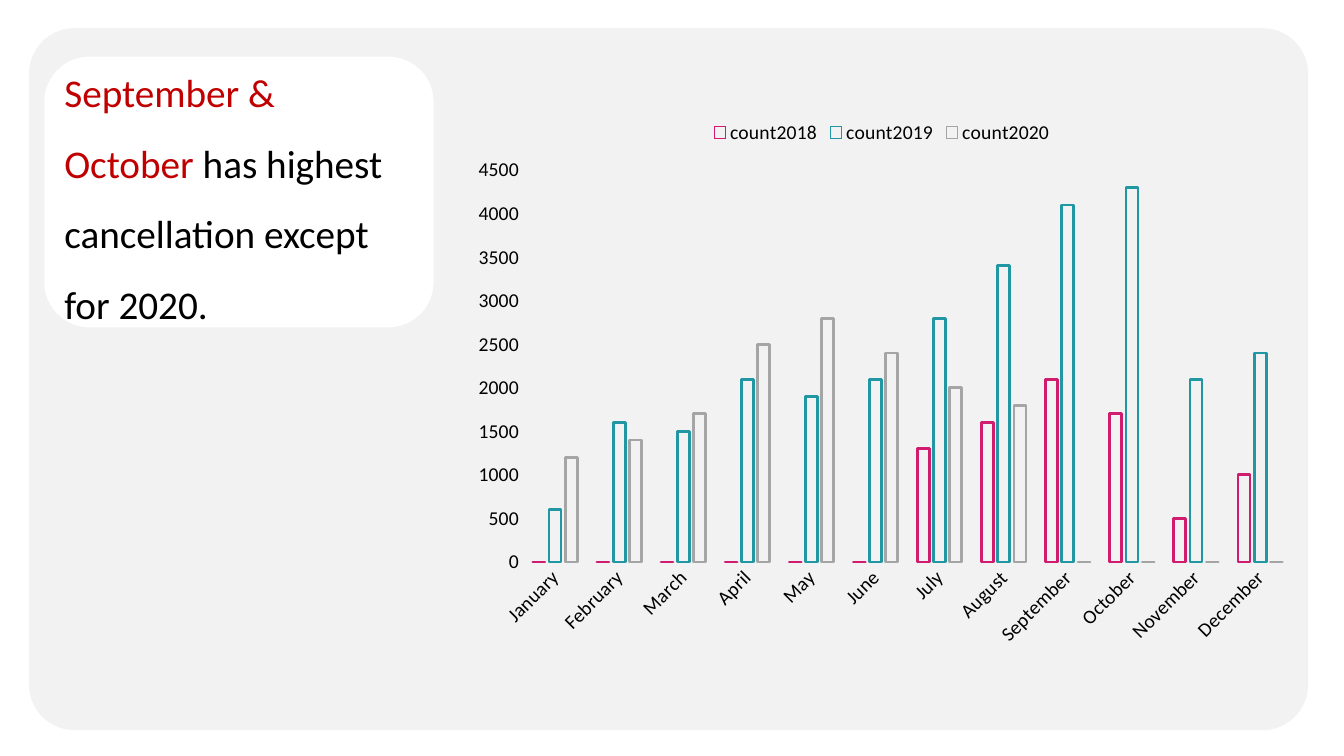
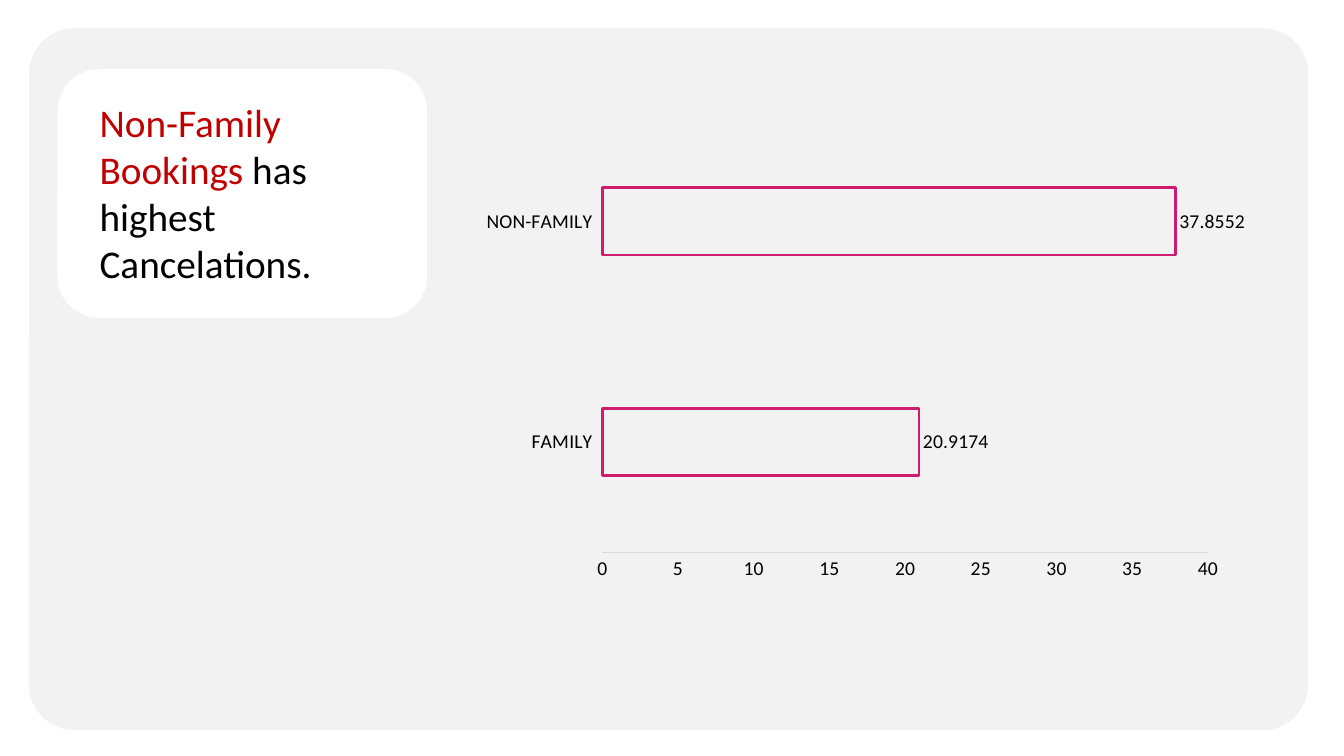
from lxml.etree import SubElement
from pptx import Presentation
from pptx.chart.data import CategoryChartData
from pptx.dml.color import RGBColor
from pptx.enum.chart import XL_CHART_TYPE, XL_LABEL_POSITION, XL_LEGEND_POSITION, XL_TICK_MARK
from pptx.enum.shapes import MSO_SHAPE
from pptx.enum.text import MSO_AUTO_SIZE
from pptx.oxml.ns import qn
from pptx.util import Inches, Pt

COLORS = {
    "panel": "F2F2F2",
    "card": "FFFFFF",
    "text": "000000",
    "accent": "C00000",
    "axis": "D9D9D9",
    "pink": "CF1C6E",
    "teal": "2197A3",
    "gray": "A5A5A5",
}
FONT = "Calibri"
WIDTH, HEIGHT = Inches(13.33), Inches(7.5)
MONTHS = ["January", "February", "March", "April", "May", "June", "July",
          "August", "September", "October", "November", "December"]
CANCELLATIONS = {
    "count2018": [0, 0, 0, 0, 0, 0, 1300, 1600, 2100, 1700, 500, 1000],
    "count2019": [600, 1600, 1500, 2100, 1900, 2100, 2800, 3400, 4100, 4300, 2100, 2400],
    "count2020": [1200, 1400, 1700, 2500, 2800, 2400, 2000, 1800, 0, 0, 0, 0],
}


def color(name):
    return RGBColor.from_string(COLORS[name])


def percent(left, top, width, height):
    return (int(WIDTH * left / 100), int(HEIGHT * top / 100),
            int(WIDTH * width / 100), int(HEIGHT * height / 100))


def style_font(font, size=14, name="text"):
    font.name = FONT
    font.size = Pt(size)
    font.color.rgb = color(name)


def add_rounded(s, area, fill, radius=16.67):
    sp = s.shapes.add_shape(MSO_SHAPE.ROUNDED_RECTANGLE, *percent(*area))
    sp.shadow.inherit = False
    sp.fill.solid()
    sp.fill.fore_color.rgb = color(fill)
    sp.line.fill.background()
    sp.adjustments[0] = radius / 100


def add_panel_slide(prs):
    s = prs.slides.add_slide(prs.slide_layouts[6])
    add_rounded(s, (2.16, 3.73, 95.17, 92.85), "panel", 6.5)
    return s


def add_message(s, area, paragraphs, spacing=None):
    tf = s.shapes.add_textbox(*percent(*area)).text_frame
    tf.word_wrap = True
    tf.auto_size = MSO_AUTO_SIZE.SHAPE_TO_FIT_TEXT
    for i, runs in enumerate(paragraphs):
        p = tf.add_paragraph() if i else tf.paragraphs[0]
        p.line_spacing = spacing
        p.font.name = FONT
        p.font.size = Pt(28)
        for text, name in runs:
            for j, line in enumerate(text.split("\n")):
                if j:
                    p.add_line_break()
                r = p.add_run()
                r.text = line
                style_font(r.font, 28, name)


def place_plot(chart, *shares):
    plot_area = chart._chartSpace.chart.plotArea
    for old in plot_area.findall(qn("c:layout")):
        plot_area.remove(old)
    layout = SubElement(plot_area, qn("c:layout"))
    plot_area.insert(0, layout)
    manual = SubElement(layout, qn("c:manualLayout"))
    settings = [("layoutTarget", "inner"), ("xMode", "edge"), ("yMode", "edge")]
    settings += [(tag, share / 100) for tag, share in zip("xywh", shares)]
    for tag, value in settings:
        SubElement(manual, qn(f"c:{tag}")).set("val", str(value))


def style_axis(axis, tick=XL_TICK_MARK.NONE, line=None):
    axis.has_major_gridlines = False
    axis.major_tick_mark = tick
    axis.minor_tick_mark = XL_TICK_MARK.NONE
    style_font(axis.tick_labels.font)
    if line:
        axis.format.line.color.rgb = color(line)
        axis.format.line.width = Pt(0.75)
    else:
        axis.format.line.fill.background()


def add_bars(s, area, kind, categories, series, outlines, gap, overlap, top, step):
    data = CategoryChartData()
    data.categories = categories
    for name, values in series.items():
        data.add_series(name, values)
    chart = s.shapes.add_chart(kind, *percent(*area), data).chart
    chart.has_title = False
    chart.has_legend = False
    style_font(chart.font, 10)
    plot = chart.plots[0]
    plot.vary_by_categories = False
    plot.gap_width, plot.overlap = gap, overlap
    axis = chart.value_axis
    axis.minimum_scale, axis.maximum_scale, axis.major_unit = 0, top, step
    for bars, outline in zip(plot.series, outlines):
        bars.format.fill.background()
        bars.format.line.color.rgb = color(outline)
        bars.format.line.width = Pt(2)
    return chart


def build_months(prs):
    s = add_panel_slide(prs)
    chart = add_bars(s, (33.91, 14.45, 63.39, 72.6), XL_CHART_TYPE.COLUMN_CLUSTERED,
                     MONTHS, CANCELLATIONS, ["pink", "teal", "gray"], 164, -35, 4500, 500)
    place_plot(chart, 7.9, 11.1, 90.3, 71.4)
    style_axis(chart.category_axis)
    style_axis(chart.value_axis)
    chart.category_axis._element.find(qn("c:txPr")).find(qn("a:bodyPr")).set("rot", "-2700000")
    chart.has_legend = True
    chart.legend.position = XL_LEGEND_POSITION.TOP
    chart.legend.include_in_layout = False
    style_font(chart.legend.font)
    add_rounded(s, (3.3, 7.5, 28.96, 35.8), "card")
    add_message(s, (4.05, 5.3, 27.38, 38.13), [
        [("September & October ", "accent"), ("has highest", "text")],
        [("cancellation except for 2020.", "text")],
    ], 1.5)


def build_families(prs):
    s = add_panel_slide(prs)
    chart = add_bars(s, (35.03, 12.6, 58.29, 66.5), XL_CHART_TYPE.BAR_CLUSTERED,
                     ["FAMILY", "NON-FAMILY"], {"Series 1": [20.9174, 37.8552]},
                     ["pink"], 227, -48, 40, 5)
    place_plot(chart, 16.8, 3.1, 77.3, 87.9)
    style_axis(chart.category_axis, XL_TICK_MARK.OUTSIDE)
    style_axis(chart.value_axis, line="axis")
    bars = chart.plots[0].series[0]
    bars.format.fill.solid()
    bars.format.fill.fore_color.rgb = color("panel")
    labels = bars.data_labels
    labels.show_value = True
    labels.position = XL_LABEL_POSITION.OUTSIDE_END
    style_font(labels.font)
    add_rounded(s, (4.28, 9.15, 27.5, 32.9), "card")
    add_message(s, (6.68, 12.35, 22.73, 26.53), [
        [("Non-Family Bookings ", "accent"), ("has highest \nCancelations.", "text")],
    ])


def main():
    prs = Presentation()
    prs.slide_width, prs.slide_height = WIDTH, HEIGHT
    build_months(prs)
    build_families(prs)
    prs.save("out.pptx")


if __name__ == "__main__":
    main()
